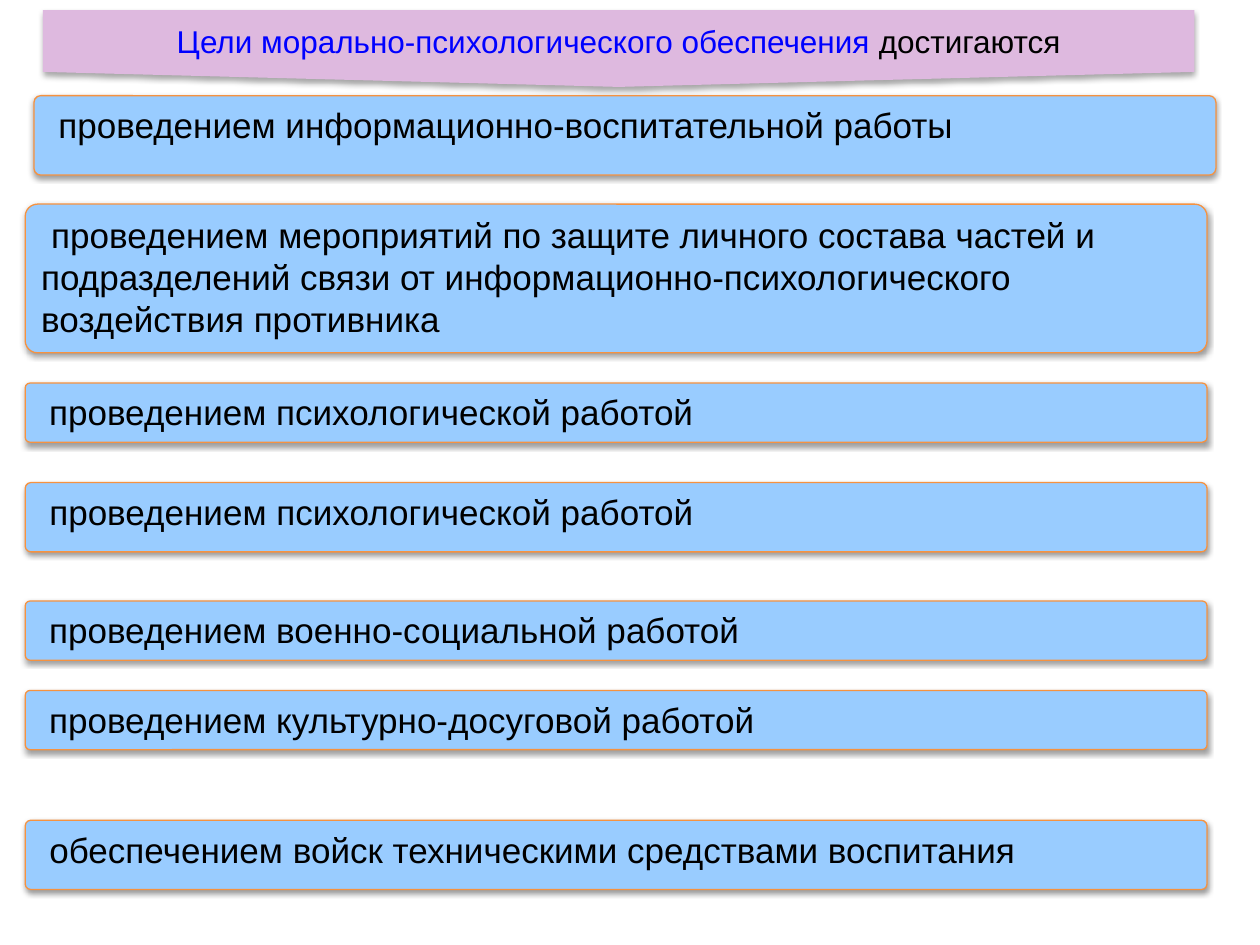
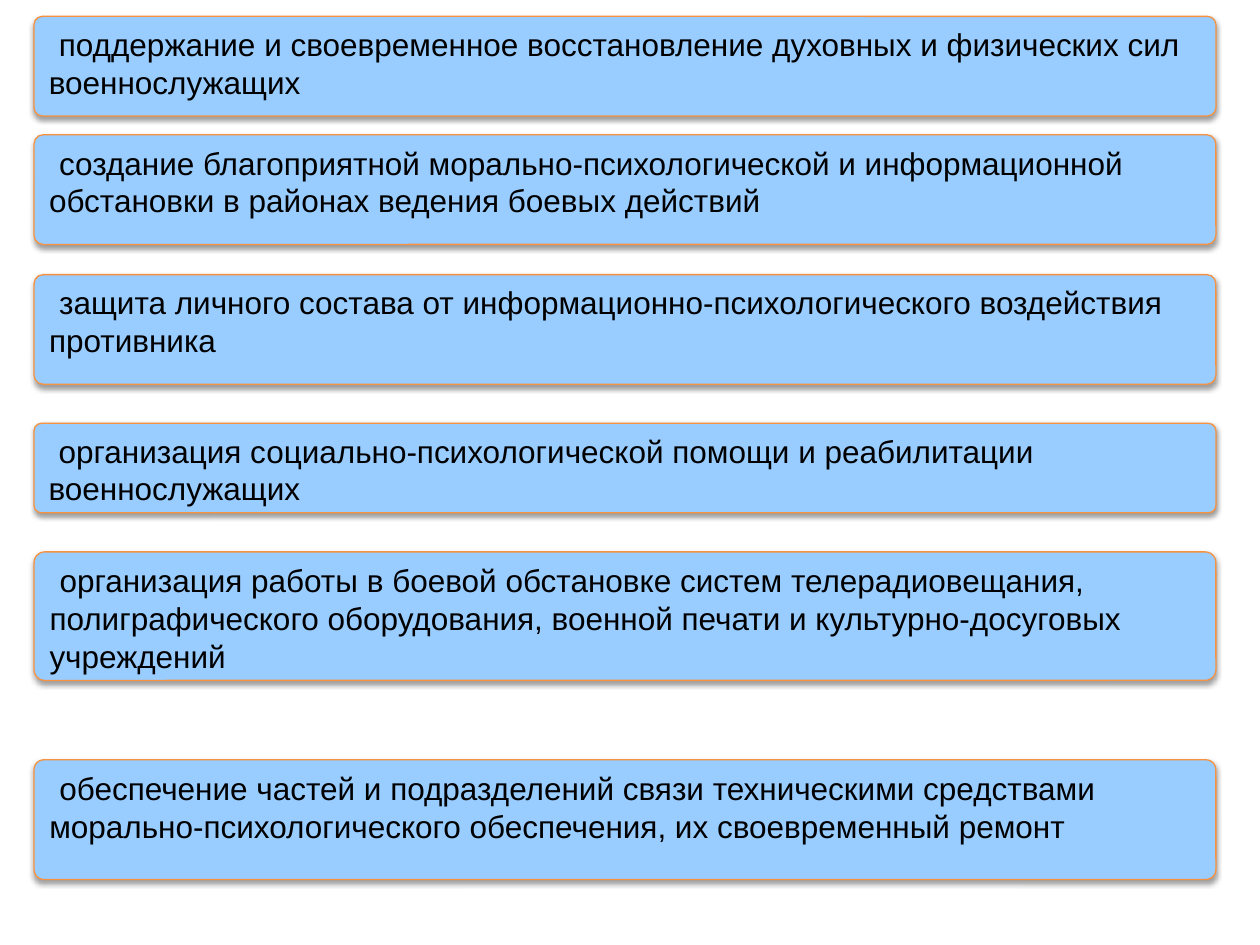
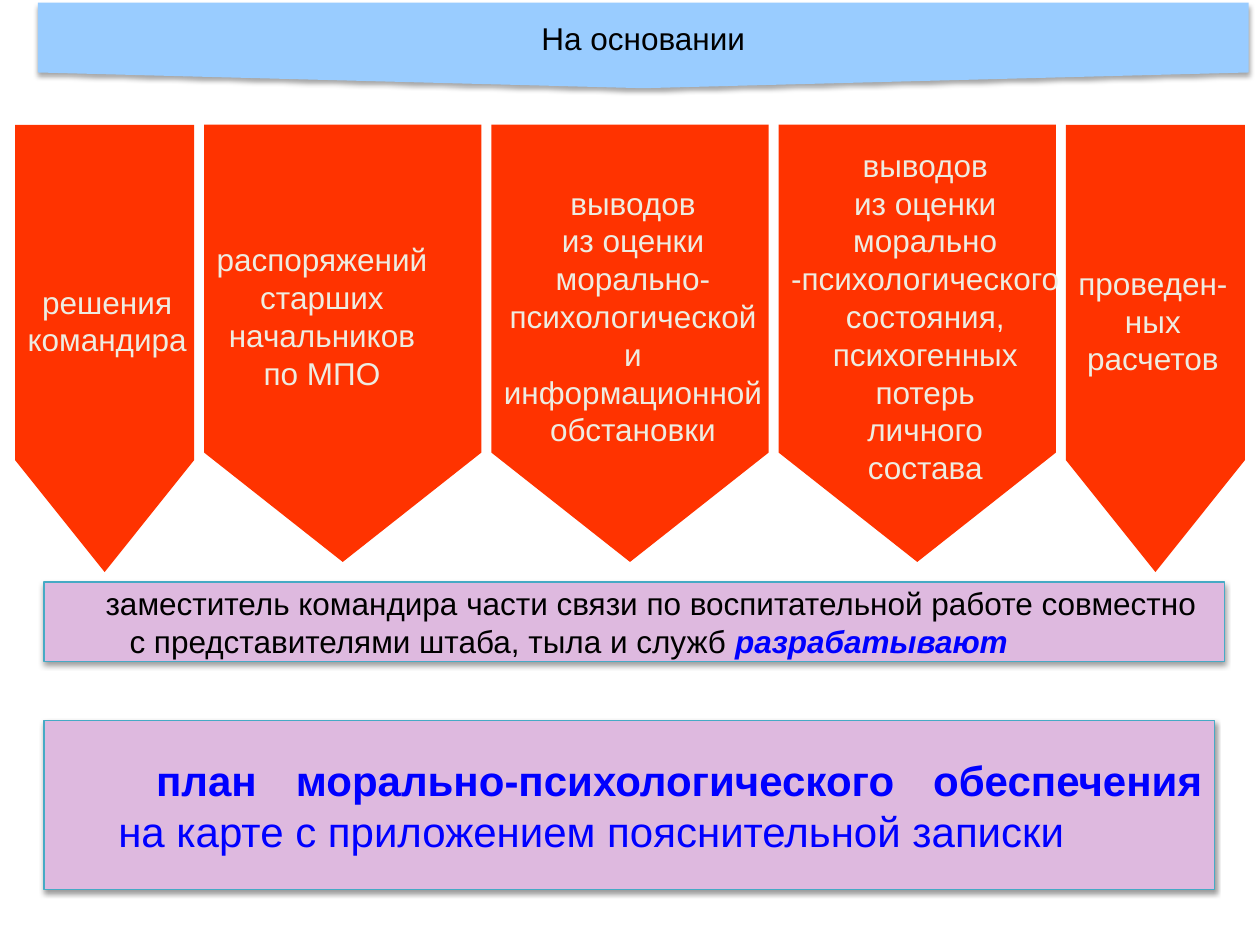
from lxml.etree import SubElement
from pptx import Presentation
from pptx.dml.color import RGBColor
from pptx.enum.shapes import MSO_SHAPE
from pptx.enum.text import MSO_ANCHOR, PP_ALIGN
from pptx.oxml.ns import qn
from pptx.util import Inches, Pt

BLACK = RGBColor(0x00, 0x00, 0x00)
BLUE = RGBColor(0x00, 0x00, 0xFF)
SKY = RGBColor(0x99, 0xCC, 0xFF)
LILAC = RGBColor(0xDE, 0xB9, 0xDF)
ORANGE = RGBColor(0xF6, 0x92, 0x40)
TEAL = RGBColor(0x46, 0xAA, 0xC5)
RED = RGBColor(0xFF, 0x33, 0x00)
CREAM = RGBColor(0xEE, 0xEC, 0xE1)

CARD_WIDTH = 9.38
ARROW_TOP = 0.99
ARROW_GAP = 0.08

MEANS = [
    (0.27, 0.76, 0.63, "проведением информационно-воспитательной работы"),
    (0.2, 1.62, 1.18, "проведением мероприятий по защите личного состава частей и "
     "подразделений связи от информационно-психологического воздействия противника"),
    (0.2, 3.04, 0.47, "проведением психологической работой"),
    (0.2, 3.83, 0.55, "проведением психологической работой"),
    (0.2, 4.77, 0.47, "проведением военно-социальной работой"),
    (0.2, 5.48, 0.47, "проведением культурно-досуговой работой"),
    (0.2, 6.51, 0.55, "обеспечением войск техническими средствами воспитания"),
]
TASKS = [
    (0.27, 0.13, 0.79, "поддержание и своевременное восстановление духовных и "
     "физических сил военнослужащих"),
    (0.27, 1.07, 0.87, "создание благоприятной морально-психологической и "
     "информационной обстановки в районах ведения боевых действий"),
    (0.27, 2.18, 0.87, "защита личного состава от информационно-психологического "
     "воздействия противника"),
    (0.27, 3.36, 0.71, "организация социально-психологической помощи и "
     "реабилитации военнослужащих"),
    (0.27, 4.38, 1.02, "организация работы в боевой обстановке систем "
     "телерадиовещания, полиграфического оборудования, военной печати и "
     "культурно-досуговых учреждений"),
    (0.27, 6.03, 0.95, "обеспечение частей и подразделений связи техническими "
     "средствами морально-психологического обеспечения, их своевременный ремонт"),
]
GROUNDS = [
    (1.42, 3.55, ["решения", "командира"]),
    (2.2, 3.47, ["распоряжений", "старших", "начальников", "по МПО"]),
    (2.2, 3.47, ["выводов", "из оценки", "морально-", "психологической", "и",
                 "информационной", "обстановки"]),
    (2.2, 3.47, ["выводов", "из оценки", "морально", "-психологического",
                 "состояния,", "психогенных", "потерь", "личного", "состава"]),
    (1.42, 3.55, ["проведен-", "ных", "расчетов"]),
]


class SlideBuilder:
    """Holds the deck style and draws on the current slide."""

    font_name = "Arial"

    def __init__(self, deck):
        self.deck = deck
        self.slide = None

    def new_slide(self):
        self.slide = self.deck.slides.add_slide(self.deck.slide_layouts[6])

    def shape(self, kind, left, top, width, height, fill, line=None):
        shape = self.slide.shapes.add_shape(
            kind, Inches(left), Inches(top), Inches(width), Inches(height))
        shape.shadow.inherit = False
        shape.fill.solid()
        shape.fill.fore_color.rgb = fill
        if line is None:
            shape.line.fill.background()
        else:
            shape.line.color.rgb = line
            shape.line.width = Pt(0.75)
        shape.text_frame.word_wrap = True
        return shape

    def cast_shadow(self, shape, distance, opacity):
        effects = shape._element.spPr.find(qn("a:effectLst"))
        shadow = SubElement(effects, qn("a:outerShdw"), blurRad=str(Pt(3.1)),
                            dist=str(Pt(distance)), dir="5400000", rotWithShape="0")
        color = SubElement(shadow, qn("a:srgbClr"), val="000000")
        SubElement(color, qn("a:alpha"), val=str(opacity * 1000))

    def fill_para(self, para, spans, size, align=PP_ALIGN.LEFT, margin=0, indent=0):
        para.alignment = align
        properties = para._p.get_or_add_pPr()
        properties.set("marL", str(Inches(margin)))
        properties.set("indent", str(Inches(indent)))
        for text, color, bold, italic in spans:
            span = para.add_run()
            span.text = text
            span.font.name = self.font_name
            span.font.size = Pt(size)
            span.font.color.rgb = color
            span.font.bold = bold
            span.font.italic = italic

    def banner(self, left, top, width, height, point, fill, spans):
        shape = self.shape(MSO_SHAPE.DOWN_ARROW, left, top, width, height, fill)
        shape.adjustments[0] = 1
        shape.adjustments[1] = point
        self.cast_shadow(shape, 1.8, 35)
        shape.text_frame.vertical_anchor = MSO_ANCHOR.MIDDLE
        self.fill_para(shape.text_frame.paragraphs[0], spans, 18, PP_ALIGN.CENTER)

    def cards(self, items, size):
        for left, top, height, text in items:
            card = self.shape(MSO_SHAPE.ROUNDED_RECTANGLE, left, top,
                              CARD_WIDTH, height, SKY, ORANGE)
            card.adjustments[0] = 0.083
            self.cast_shadow(card, 1.6, 38)
            card.text_frame.vertical_anchor = MSO_ANCHOR.TOP
            self.fill_para(card.text_frame.paragraphs[0],
                           [(text, BLACK, False, False)], size, indent=0.08)

    def panel(self, top, width, height, spans, size, align, margin, indent):
        box = self.shape(MSO_SHAPE.RECTANGLE, 0.35, top, width, height, LILAC, TEAL)
        self.cast_shadow(box, 1.6, 38)
        box.text_frame.vertical_anchor = MSO_ANCHOR.MIDDLE
        self.fill_para(box.text_frame.paragraphs[0], spans, size, align, margin, indent)

    def arrow(self, left, width, length, lines):
        offset = (length - width) / 2
        arrow = self.shape(MSO_SHAPE.PENTAGON, left - offset, ARROW_TOP + offset,
                           length, width, RED)
        arrow.rotation = 90
        arrow.adjustments[0] = length / 4 / width
        frame = arrow.text_frame
        frame.word_wrap = False
        frame.vertical_anchor = MSO_ANCHOR.MIDDLE
        body = frame._txBody.bodyPr
        body.set("rot", "10800000")
        body.set("vert", "eaVert")
        for index, line in enumerate(lines):
            para = frame.add_paragraph() if index else frame.paragraphs[0]
            self.fill_para(para, [(line, CREAM, False, False)], 18, PP_ALIGN.CENTER)


def main():
    deck = Presentation()
    deck.slide_width = Inches(10)
    deck.slide_height = Inches(7.5)
    builder = SlideBuilder(deck)

    builder.new_slide()
    builder.banner(0.34, 0.08, 9.14, 0.61, 0.195, LILAC, [
        ("Цели морально-психологического обеспечения ", BLUE, False, False),
        ("достигаются", BLACK, False, False)])
    builder.cards(MEANS, 20)

    builder.new_slide()
    builder.cards(TASKS, 18)

    builder.new_slide()
    builder.panel(5.72, 9.29, 1.34, [
        ("план морально-психологического обеспечения", BLUE, True, False),
        (" на карте с приложением пояснительной записки", BLUE, False, False)],
        24, PP_ALIGN.JUSTIFY, 0.49, 0.3)
    builder.banner(0.3, 0.02, 9.61, 0.68, 0.183, SKY,
                   [("На основании", BLACK, False, False)])
    builder.panel(4.62, 9.37, 0.63, [
        ("заместитель командира части связи по воспитательной работе совместно "
         "с представителями штаба, тыла и служб ", BLACK, False, False),
        ("разрабатывают", BLUE, True, True)],
        18, PP_ALIGN.LEFT, 0.58, -0.19)
    left = 0.12
    for width, length, lines in GROUNDS:
        builder.arrow(left, width, length, lines)
        left += width + ARROW_GAP

    deck.save("out.pptx")


if __name__ == "__main__":
    main()
